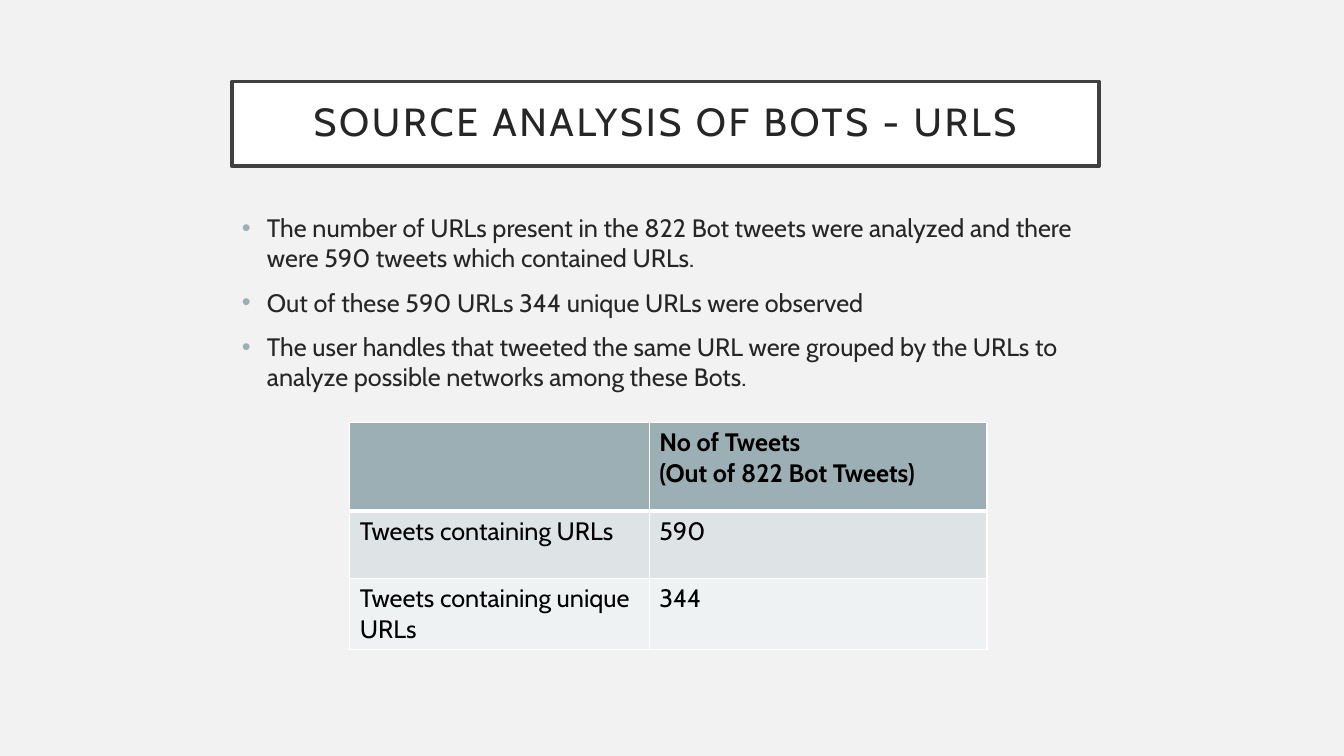
from dataclasses import dataclass

import pptx
import pptx.dml.color
import pptx.enum.shapes
import pptx.enum.text
import pptx.oxml
import pptx.oxml.ns
import pptx.util
from pptx.util import Inches


@dataclass(frozen=True)
class Theme:
    font: str = "Cabin"
    background: str = "F2F2F2"
    white: str = "FFFFFF"
    black: str = "000000"
    ink: str = "262626"
    frame: str = "404040"
    accent: str = "9BAFB5"
    bands: tuple = ("DEE3E5", "EFF2F3")
    title_size: int = 28
    text_size: int = 18


THEME = Theme()
LEFT, WIDTH = 2.3, 8.6

TITLE = "SOURCE ANALYSIS OF BOTS - URLS"
BULLETS = [
    "The number of URLs present in the 822 Bot tweets were analyzed and there "
    "were 590 tweets which contained URLs.",
    "Out of these 590 URLs 344 unique URLs were observed",
    "The user handles that tweeted the same URL were grouped by the URLs to "
    "analyze possible networks among these Bots.",
]
TABLE_ROWS = [
    [[], ["No of Tweets", "(Out of 822 Bot Tweets)"]],
    [["Tweets containing URLs"], ["590"]],
    [["Tweets containing unique URLs"], ["344"]],
]
COLUMN_WIDTHS = [2.97, 3.35]
ROW_HEIGHTS = [0.88, 0.67, 0.7]


def rgb(color):
    return pptx.dml.color.RGBColor.from_string(color)


def add_xml(parent, xml):
    parent.append(pptx.oxml.parse_xml(
        xml.replace(" ", f" {pptx.oxml.ns.nsdecls('a')} ", 1)))


def write(p, text, size=THEME.text_size, color=THEME.ink, bold=False, spacing=0):
    """Add a formatted run; spacing is the letter spacing in points."""
    r = p.add_run()
    r.text = text
    r.font.name = THEME.font
    r.font.size = pptx.util.Pt(size)
    r.font.bold = bold
    r.font.color.rgb = rgb(color)
    if spacing:
        r.font._element.set("spc", str(spacing * 100))


def paragraphs(tf, count):
    return [tf.paragraphs[0]] + [tf.add_paragraph() for _ in range(count - 1)]


def add_title(s, text):
    sp = s.shapes.add_shape(pptx.enum.shapes.MSO_SHAPE.RECTANGLE, Inches(LEFT),
                            Inches(0.81), Inches(WIDTH), Inches(0.84))
    sp.shadow.inherit = False
    sp.fill.solid()
    sp.fill.fore_color.rgb = rgb(THEME.white)
    sp.line.color.rgb = rgb(THEME.frame)
    sp.line.width = pptx.util.Pt(2.5)
    tf = sp.text_frame
    tf.word_wrap = True
    tf.vertical_anchor = pptx.enum.text.MSO_ANCHOR.MIDDLE
    tf.margin_left = tf.margin_right = tf.margin_top = tf.margin_bottom = Inches(0.2)
    p = tf.paragraphs[0]
    p.alignment = pptx.enum.text.PP_ALIGN.CENTER
    p.line_spacing = 0.9
    write(p, text, size=THEME.title_size, spacing=2)


def add_bullets(s, items):
    sp = s.shapes.add_textbox(Inches(LEFT), Inches(2.06), Inches(WIDTH), Inches(2))
    tf = sp.text_frame
    tf.word_wrap = True
    for i, (p, item) in enumerate(zip(paragraphs(tf, len(items)), items)):
        if i:
            p.space_before = pptx.util.Pt(10)
        pPr = p._p.get_or_add_pPr()
        pPr.set("marL", str(Inches(0.25)))
        pPr.set("indent", str(Inches(-0.25)))
        add_xml(pPr, f'<a:buClr ><a:srgbClr val="{THEME.accent}"/></a:buClr>')
        add_xml(pPr, '<a:buFont typeface="Arial"/>')
        add_xml(pPr, '<a:buChar char="•"/>')
        write(p, item)


def set_borders(cell, top, bottom):
    """Draw white borders; top and bottom are widths in points."""
    tcPr = cell._tc.get_or_add_tcPr()
    for side, width in (("L", 1), ("R", 1), ("T", top), ("B", bottom)):
        add_xml(tcPr, f'<a:ln{side} w="{pptx.util.Pt(width)}"><a:solidFill>'
                      f'<a:srgbClr val="{THEME.white}"/></a:solidFill></a:ln{side}>')


def add_table(s, rows):
    table = s.shapes.add_table(
        len(rows), len(COLUMN_WIDTHS), Inches(3.47), Inches(4.19),
        Inches(sum(COLUMN_WIDTHS)), Inches(sum(ROW_HEIGHTS))).table
    for column, width in zip(table.columns, COLUMN_WIDTHS):
        column.width = Inches(width)
    for i, (row, height) in enumerate(zip(rows, ROW_HEIGHTS)):
        table.rows[i].height = Inches(height)
        header = i == 0
        for j, lines in enumerate(row):
            cell = table.cell(i, j)
            set_borders(cell, top=3 if i == 1 else 1, bottom=3 if header else 1)
            cell.fill.solid()
            cell.fill.fore_color.rgb = rgb(
                THEME.accent if header else THEME.bands[(i - 1) % 2])
            for p, line in zip(paragraphs(cell.text_frame, len(lines)), lines):
                write(p, line, color=THEME.black, bold=header)


def main():
    prs = pptx.Presentation()
    prs.slide_width, prs.slide_height = Inches(13.33), Inches(7.5)
    s = prs.slides.add_slide(prs.slide_layouts[6])
    s.background.fill.solid()
    s.background.fill.fore_color.rgb = rgb(THEME.background)
    add_title(s, TITLE)
    add_bullets(s, BULLETS)
    add_table(s, TABLE_ROWS)
    prs.save("out.pptx")


if __name__ == "__main__":
    main()
